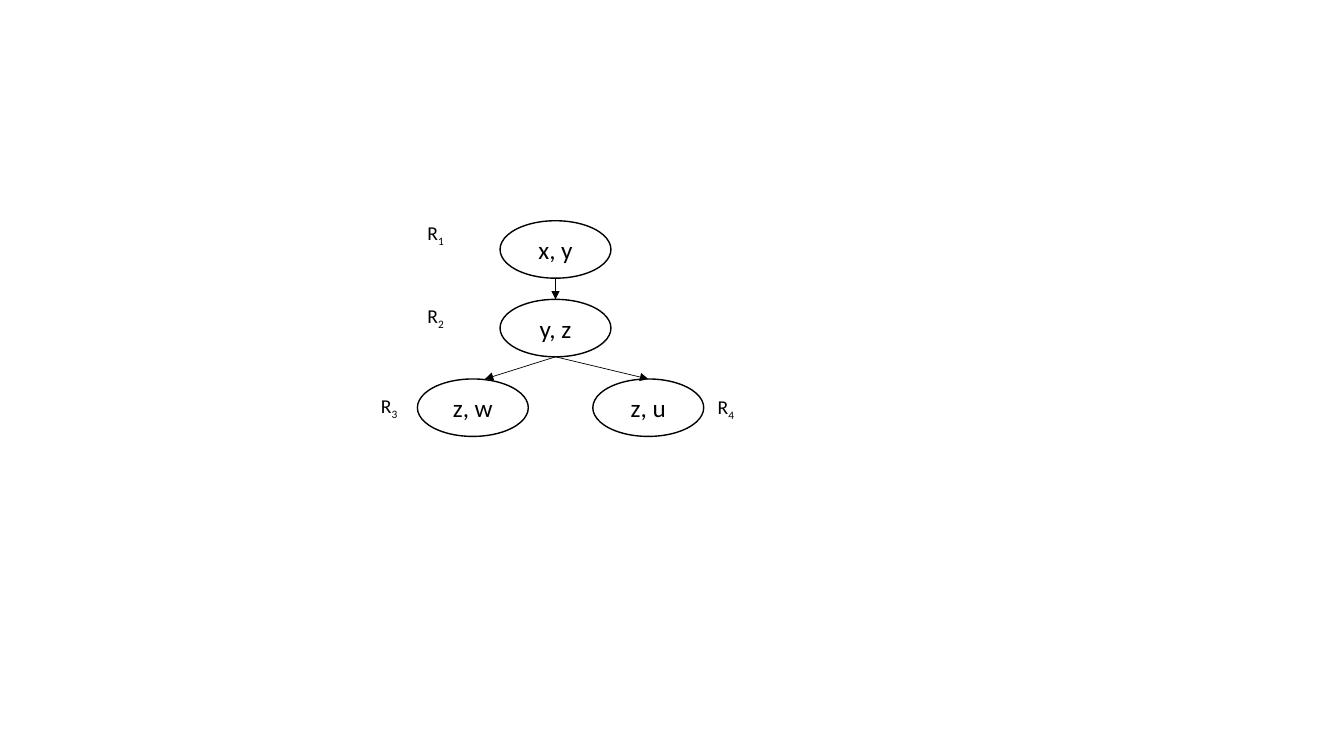
from dataclasses import dataclass

import lxml.etree
import pptx
import pptx.dml.color
import pptx.enum.shapes
import pptx.enum.text
import pptx.oxml.ns
import pptx.shapes.group
import pptx.slide
import pptx.text.text
import pptx.util

Inches = pptx.util.Inches
Pt = pptx.util.Pt


@dataclass(frozen=True)
class Theme:
    ink: pptx.dml.color.RGBColor = pptx.dml.color.RGBColor(0, 0, 0)
    font: str = "Calibri"
    node_size: float = 18
    label_size: float = 14
    outline: float = 1
    arrow: float = 0.5


@dataclass(frozen=True)
class Node:
    text: str
    left: float
    top: float
    label_left: float
    label_top: float


@dataclass(frozen=True)
class Arrow:
    x1: float
    y1: float
    x2: float
    y2: float


THEME = Theme()
NODE_W, NODE_H = 1.1, 0.57
LABEL_W, LABEL_H = 0.38, 0.34
ROOT_X = 5.51
ROWS = (2.19, 2.97, 3.76)

# Listed in order R1 to R4
NODES = (
    Node("x, y", 4.96, ROWS[0], 4.14, 2.14),
    Node("y, z", 4.96, ROWS[1], 4.14, 2.97),
    Node("z, w", 4.14, ROWS[2], 3.68, 3.86),
    Node("z, u", 5.88, ROWS[2], 7.02, 3.87),
)
ARROWS = (
    Arrow(ROOT_X, ROWS[0] + NODE_H, ROOT_X, ROWS[1]),
    Arrow(ROOT_X, ROWS[1] + NODE_H, 4.81, ROWS[2]),
    Arrow(ROOT_X, ROWS[1] + NODE_H, 6.43, ROWS[2]),
)


def style_run(r: pptx.text.text._Run, size: float) -> None:
    r.font.name = THEME.font
    r.font.size = Pt(size)
    r.font.color.rgb = THEME.ink


def add_node(tree: pptx.shapes.group.GroupShape, node: Node) -> None:
    sp = tree.shapes.add_shape(
        pptx.enum.shapes.MSO_SHAPE.OVAL,
        Inches(node.left), Inches(node.top), Inches(NODE_W), Inches(NODE_H),
    )
    sp.shadow.inherit = False
    sp.fill.background()
    sp.line.color.rgb = THEME.ink
    sp.line.width = Pt(THEME.outline)
    tf = sp.text_frame
    tf.text = node.text
    tf.vertical_anchor = pptx.enum.text.MSO_ANCHOR.MIDDLE
    p = tf.paragraphs[0]
    p.alignment = pptx.enum.text.PP_ALIGN.CENTER
    style_run(p.runs[0], THEME.node_size)


def add_arrow(tree: pptx.shapes.group.GroupShape, arrow: Arrow) -> None:
    line = tree.shapes.add_connector(
        pptx.enum.shapes.MSO_CONNECTOR.STRAIGHT,
        Inches(arrow.x1), Inches(arrow.y1), Inches(arrow.x2), Inches(arrow.y2),
    )
    line.line.color.rgb = THEME.ink
    line.line.width = Pt(THEME.arrow)
    qn = pptx.oxml.ns.qn
    ln = line.line._get_or_add_ln()
    lxml.etree.SubElement(ln, qn("a:tailEnd"), type="triangle")
    lxml.etree.SubElement(line._element.spPr, qn("a:effectLst"))


def add_label(slide: pptx.slide.Slide, node: Node, number: int) -> None:
    """Write R with the node's number as a subscript."""
    sp = slide.shapes.add_textbox(
        Inches(node.label_left), Inches(node.label_top),
        Inches(LABEL_W), Inches(LABEL_H),
    )
    tf = sp.text_frame
    tf.word_wrap = False
    tf.auto_size = pptx.enum.text.MSO_AUTO_SIZE.SHAPE_TO_FIT_TEXT
    p = tf.paragraphs[0]
    for text in ("R", str(number)):
        r = p.add_run()
        r.text = text
        style_run(r, THEME.label_size)
    p.runs[1].font._element.set("baseline", "-25000")


def main() -> None:
    prs = pptx.Presentation()
    prs.slide_width = Inches(13.33)
    prs.slide_height = Inches(7.5)
    slide = prs.slides.add_slide(prs.slide_layouts[6])
    tree = slide.shapes.add_group_shape()
    for node in NODES:
        add_node(tree, node)
    for arrow in ARROWS:
        add_arrow(tree, arrow)
    for number, node in enumerate(NODES, start=1):
        add_label(slide, node, number)
    prs.save("out.pptx")


if __name__ == "__main__":
    main()
